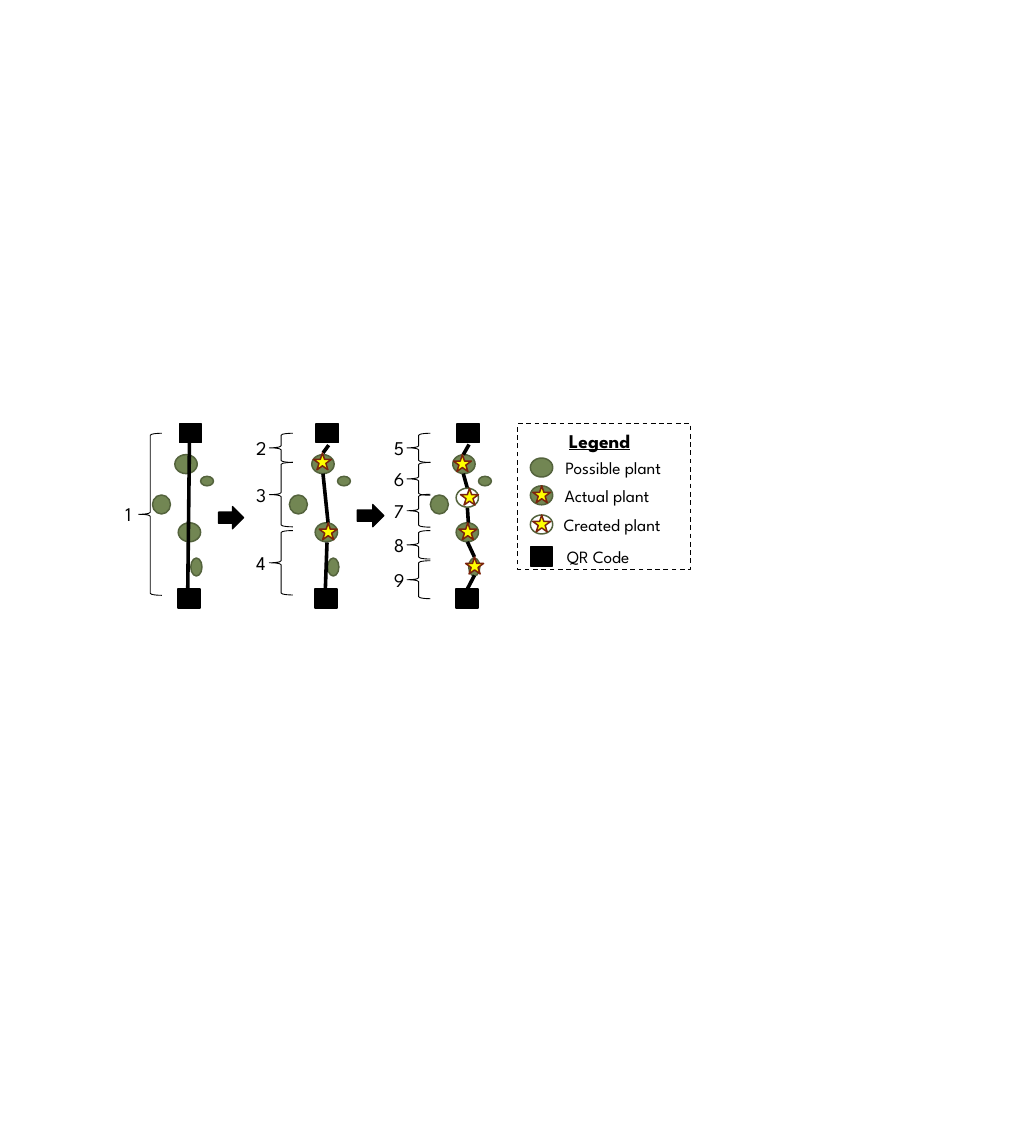
from lxml import etree
from pptx import Presentation
from pptx.dml.color import RGBColor
from pptx.enum.dml import MSO_LINE
from pptx.enum.shapes import MSO_CONNECTOR, MSO_SHAPE
from pptx.enum.text import MSO_AUTO_SIZE
from pptx.oxml.ns import qn
from pptx.util import Cm, Pt

OVAL, RECT = MSO_SHAPE.OVAL, MSO_SHAPE.RECTANGLE
STAR, BRACE = MSO_SHAPE.STAR_5_POINT, MSO_SHAPE.LEFT_BRACE
ARROW, LINE = MSO_SHAPE.RIGHT_ARROW, MSO_CONNECTOR.STRAIGHT
DASH, GROW = MSO_LINE.DASH, MSO_AUTO_SIZE.SHAPE_TO_FIT_TEXT

FONT = "League Spartan"
HEX = {"ink": "000000", "leaf": "728653", "edge": "54633D",
       "star": "FFFF00", "rust": "7A240C"}

# kind: preset, width, height, fill, line colour
KINDS = {
    "plant": (OVAL, 0.66, 0.56, "leaf", "edge"),
    "mid": (OVAL, 0.53, 0.56, "leaf", "edge"),
    "small": (OVAL, 0.38, 0.28, "leaf", "edge"),
    "thin": (OVAL, 0.33, 0.53, "leaf", "edge"),
    "ring": (OVAL, 0.66, 0.56, None, "edge"),
    "code": (RECT, 0.66, 0.56, "ink", "ink"),
    "star": (STAR, 0.53, 0.5, "star", "rust"),
}

# Marks every row shares: kind, offset from the row's x, top
FIELD = [("plant", 0, 13.41), ("small", 0.76, 14.05), ("mid", -0.66, 14.6),
         ("plant", 0.1, 15.42), ("thin", 0.47, 16.46),
         ("code", 0.13, 12.5), ("code", 0.09, 17.37)]

# Braces are (top, height); lines are (x1, y1, x2, y2) with x from the row's x
ROWS = [
    {"x": 5.16, "brace": 4.09, "spans": [(12.78, 4.78)],
     "lines": [(0.43, 13.06, 0.38, 17.37)], "marks": []},
    {"x": 9.2, "brace": 7.95,
     "spans": [(12.78, 0.86), (13.64, 1.9), (15.65, 1.9)],
     "lines": [(0.5, 13.13, 0.33, 13.36), (0.33, 13.97, 0.48, 15.42),
               (0.45, 16, 0.4, 17.37)],
     "marks": [("star", 0.05, 13.36), ("star", 0.22, 15.42)]},
    {"x": 13.36, "brace": 12.01,
     "spans": [(12.78, 0.86), (13.64, 0.97), (14.58, 0.97),
               (15.65, 0.84), (16.54, 1.12)],
     "lines": [(0.48, 13.11, 0.31, 13.41), (0.31, 13.97, 0.43, 14.4),
               (0.43, 14.96, 0.46, 15.42), (0.64, 16.43, 0.43, 15.98),
               (0.43, 17.37, 0.64, 16.97)],
     "marks": [("ring", 0.1, 14.4), ("star", 0.02, 13.41),
               ("star", 0.23, 14.4), ("star", 0.18, 15.42),
               ("star", 0.38, 16.43)]},
]
ARROWS = [(6.45, 14.94, 0.74, 0.66), (10.54, 14.88, 0.79, 0.66)]

# Legend: kinds stacked as one mark, mark top, text, text left, text width
KEYS = [(["plant"], 13.51, " Possible plant", 16.31, 4.01),
        (["plant", "star"], 14.33, "Actual plant", 16.41, 3.61),
        (["ring", "star"], 15.19, "Created plant", 16.38, 4.06),
        (["code"], 16.13, "QR Code", 16.48, 2.84)]

deck = Presentation()
deck.slide_width, deck.slide_height = Cm(30.48), Cm(33.86)
slide = deck.slides.add_slide(deck.slide_layouts[6])


def tint(name):
    return RGBColor.from_string(HEX[name])


def draw(form, x, y, w, h, fill, edge, width):
    shape = slide.shapes.add_shape(form, Cm(x), Cm(y), Cm(w), Cm(h))
    shape.shadow.inherit = False
    if fill:
        shape.fill.solid()
        shape.fill.fore_color.rgb = tint(fill)
    else:
        shape.fill.background()
    shape.line.color.rgb = tint(edge)
    shape.line.width = Pt(width)
    return shape


def mark(kind, x, y):
    form, w, h, fill, edge = KINDS[kind]
    draw(form, x, y, w, h, fill, edge, 1.25)


def link(x1, y1, x2, y2):
    line = slide.shapes.add_connector(LINE, Cm(x1), Cm(y1), Cm(x2), Cm(y2))
    line.line.color.rgb = tint("ink")
    line.line.width = Pt(3)
    etree.SubElement(line._element.spPr, qn("a:effectLst"))


def label(text, x, y, w, h, size, strong=False):
    frame = slide.shapes.add_textbox(Cm(x), Cm(y), Cm(w), Cm(h)).text_frame
    frame.word_wrap = False
    frame.auto_size = GROW
    frame.text = text
    font = frame.paragraphs[0].runs[0].font
    font.name, font.size = FONT, Pt(size)
    font.color.rgb = tint("ink")
    if strong:
        font.bold = font.underline = True


# Rows of plants, with numbered braces
count = 0
for row in ROWS:
    left = row["x"]
    for kind, dx, y in FIELD:
        mark(kind, left + dx, y)
    for x1, y1, x2, y2 in row["lines"]:
        link(left + x1, y1, left + x2, y2)
    for kind, dx, y in row["marks"]:
        mark(kind, left + dx, y)
    for top, high in row["spans"]:
        count += 1
        draw(BRACE, row["brace"], top, 0.69, high, None, "ink", 0.75)
        label(str(count), row["brace"] - 0.64, top + high / 2 - 0.47,
              0.84, 0.94, 16.2)

# Arrows between rows
for spot in ARROWS:
    draw(ARROW, *spot, "ink", "ink", 1)

# Legend
box = draw(RECT, 15.27, 12.5, 5.11, 4.29, None, "ink", 1)
box.line.dash_style = DASH
label("Legend", 16.54, 12.52, 2.62, 0.94, 16.2, True)
for kinds, y, text, x, w in KEYS:
    for kind in kinds:
        mark(kind, 15.72 if kind == "star" else 15.65, y)
    label(text, x, y - 0.15, w, 0.86, 14.4)

deck.save("out.pptx")
